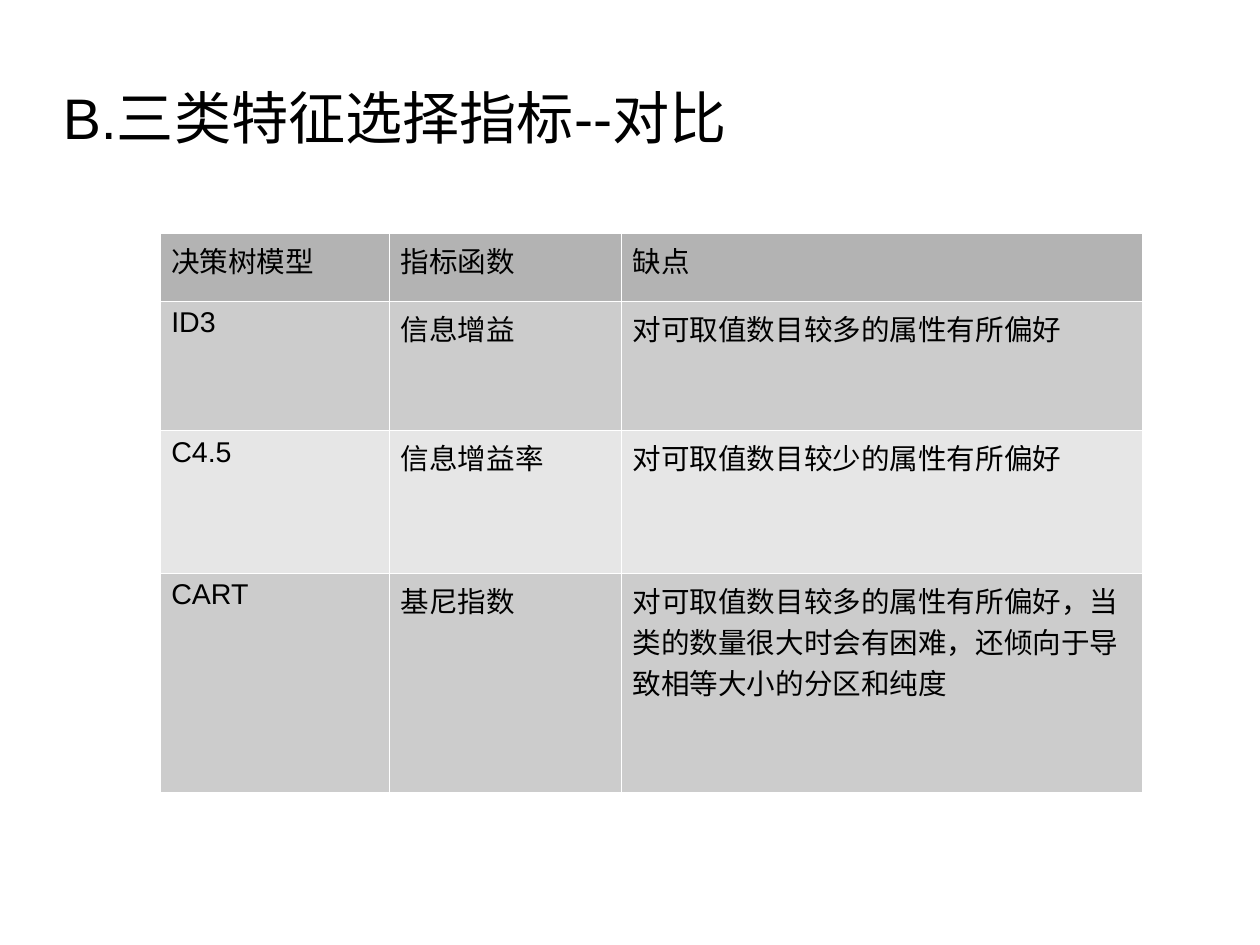
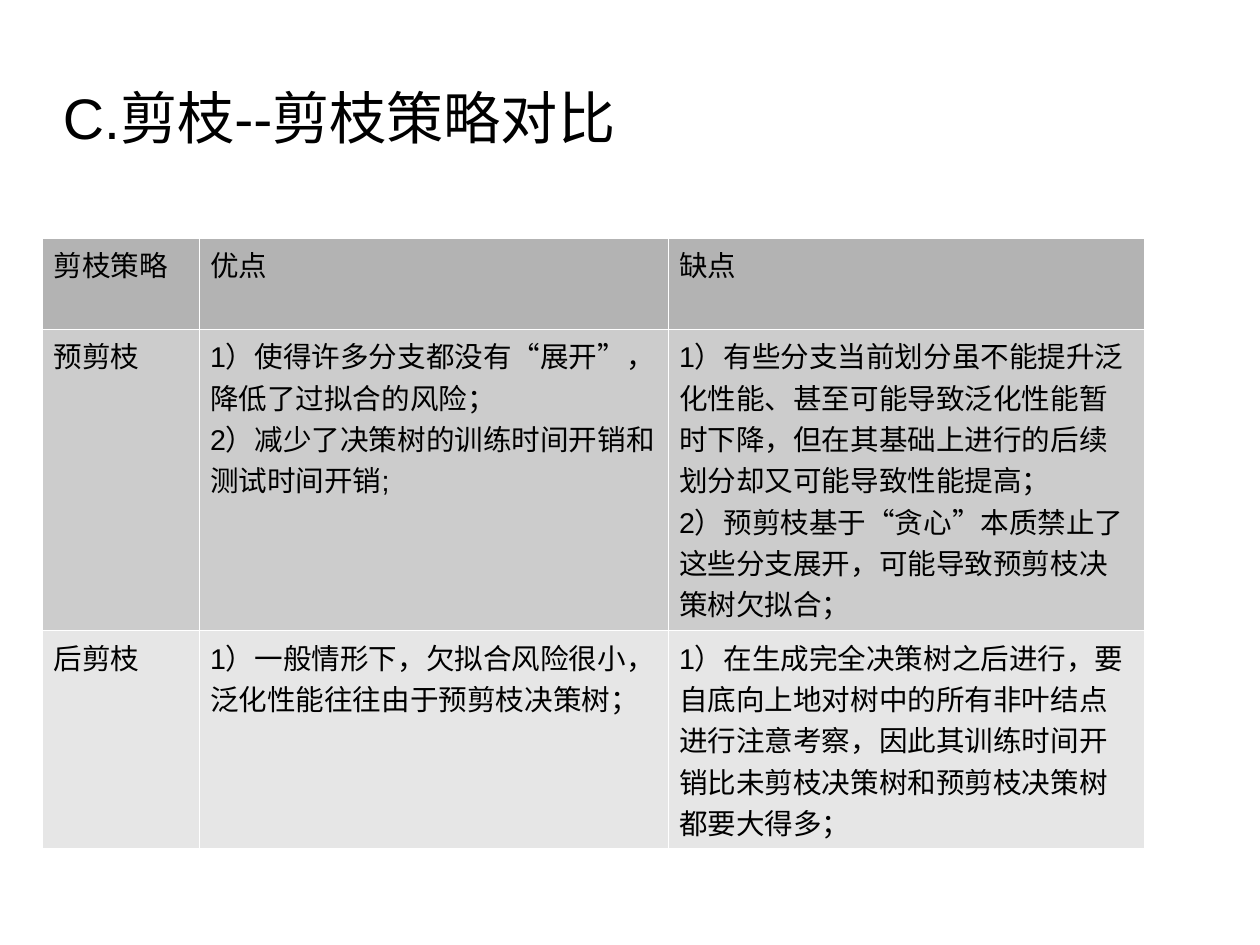
from dataclasses import dataclass

from lxml import etree
from pptx import Presentation
from pptx.dml.color import RGBColor
from pptx.enum import lang, text
from pptx.oxml import ns
from pptx.util import Pt


@dataclass(frozen=True)
class Theme:
    font: str = "Arial"
    ink: str = "000000"
    border: str = "FFFFFF"
    header: str = "B3B3B3"
    bands: tuple = ("CCCCCC", "E6E6E6")
    title_size: float = 36
    body_size: float = 18
    border_width: float = 0.06
    cell_margins: tuple = (7.09, 3.69)


def write(tf, content, *, font, size, color, bold=False, align=text.PP_ALIGN.LEFT):
    """Fill a text frame, one paragraph for each line of content."""
    for i, line in enumerate(content.split("\n")):
        p = tf.paragraphs[0] if i == 0 else tf.add_paragraph()
        p.alignment = align
        p._p.get_or_add_pPr().set("hangingPunct", "0")
        r = p.add_run()
        r.text = line
        f = r.font
        f.name, f.size, f.bold = font, Pt(size), bold
        f.color.rgb = RGBColor.from_string(color)
        f.language_id = lang.MSO_LANGUAGE_ID.SIMPLIFIED_CHINESE


def set_borders(cell, color, width):
    tc_pr = cell._tc.get_or_add_tcPr()
    for side in ("lnL", "lnR", "lnT", "lnB"):
        ln = etree.SubElement(tc_pr, ns.qn(f"a:{side}"), w=str(int(Pt(width))))
        fill = etree.SubElement(ln, ns.qn("a:solidFill"))
        etree.SubElement(fill, ns.qn("a:srgbClr"), val=color)


class Deck:
    """Holds the style and the slide being built."""

    def __init__(self, theme):
        self.theme = theme
        self.prs = Presentation()
        self.prs.slide_width, self.prs.slide_height = Pt(793.7), Pt(595.28)
        self.s = None

    def add_slide(self, title):
        self.s = self.prs.slides.add_slide(self.prs.slide_layouts[5])
        self.title(title)

    def title(self, content):
        sp = self.s.shapes.title
        sp.left, sp.top, sp.width, sp.height = Pt(39.6), Pt(45), Pt(566.6), Pt(56.8)
        tf = sp.text_frame
        tf.margin_left = tf.margin_right = tf.margin_top = tf.margin_bottom = 0
        tf.vertical_anchor = text.MSO_ANCHOR.MIDDLE
        tf.word_wrap = True
        tf.auto_size = text.MSO_AUTO_SIZE.SHAPE_TO_FIT_TEXT
        t = self.theme
        write(tf, content, font=t.font, size=t.title_size, color=t.ink)

    def table(self, left, top, widths, heights, rows):
        t = self.theme
        table = self.s.shapes.add_table(
            len(heights), len(widths), Pt(left), Pt(top),
            Pt(sum(widths)), Pt(sum(heights))).table
        table.first_row = table.horz_banding = False
        for column, width in zip(table.columns, widths):
            column.width = Pt(width)
        side, end = (Pt(m) for m in t.cell_margins)
        for i, (row, height, contents) in enumerate(zip(table.rows, heights, rows)):
            row.height = Pt(height)
            fill = t.bands[(i - 1) % len(t.bands)] if i else t.header
            for cell, content in zip(row.cells, contents):
                cell.margin_left = cell.margin_right = side
                cell.margin_top = cell.margin_bottom = end
                set_borders(cell, t.border, t.border_width)
                cell.fill.solid()
                cell.fill.fore_color.rgb = RGBColor.from_string(fill)
                write(cell.text_frame, content, font=t.font, size=t.body_size, color=t.ink)


def main():
    deck = Deck(Theme())

    deck.add_slide("B.三类特征选择指标--对比")
    deck.table(100.8, 146.9, (144.6, 146, 328.3), (42.8, 81.4, 90, 138), (
        ("决策树模型", "指标函数", "缺点"),
        ("ID3", "信息增益", "对可取值数目较多的属性有所偏好"),
        ("C4.5", "信息增益率", "对可取值数目较少的属性有所偏好"),
        ("CART", "基尼指数",
         "对可取值数目较多的属性有所偏好，当类的数量很大时会有困难，"
         "还倾向于导致相等大小的分区和纯度"),
    ))

    deck.add_slide("C.剪枝--剪枝策略对比")
    deck.table(26.8, 149.9, (98.5, 295.4, 300.2), (57.2, 189.8, 137.5), (
        ("剪枝策略", "优点", "缺点"),
        ("预剪枝",
         "1）使得许多分支都没有“展开”，降低了过拟合的风险；\n"
         "2）减少了决策树的训练时间开销和测试时间开销;",
         "1）有些分支当前划分虽不能提升泛化性能、甚至可能导致泛化性能暂时下降，"
         "但在其基础上进行的后续划分却又可能导致性能提高；\n"
         "2）预剪枝基于“贪心”本质禁止了这些分支展开，可能导致预剪枝决策树欠拟合；"),
        ("后剪枝",
         "1）一般情形下，欠拟合风险很小，泛化性能往往由于预剪枝决策树；",
         "1）在生成完全决策树之后进行，要自底向上地对树中的所有非叶结点进行注意考察，"
         "因此其训练时间开销比未剪枝决策树和预剪枝决策树都要大得多；"),
    ))

    deck.prs.save("out.pptx")


if __name__ == "__main__":
    main()
